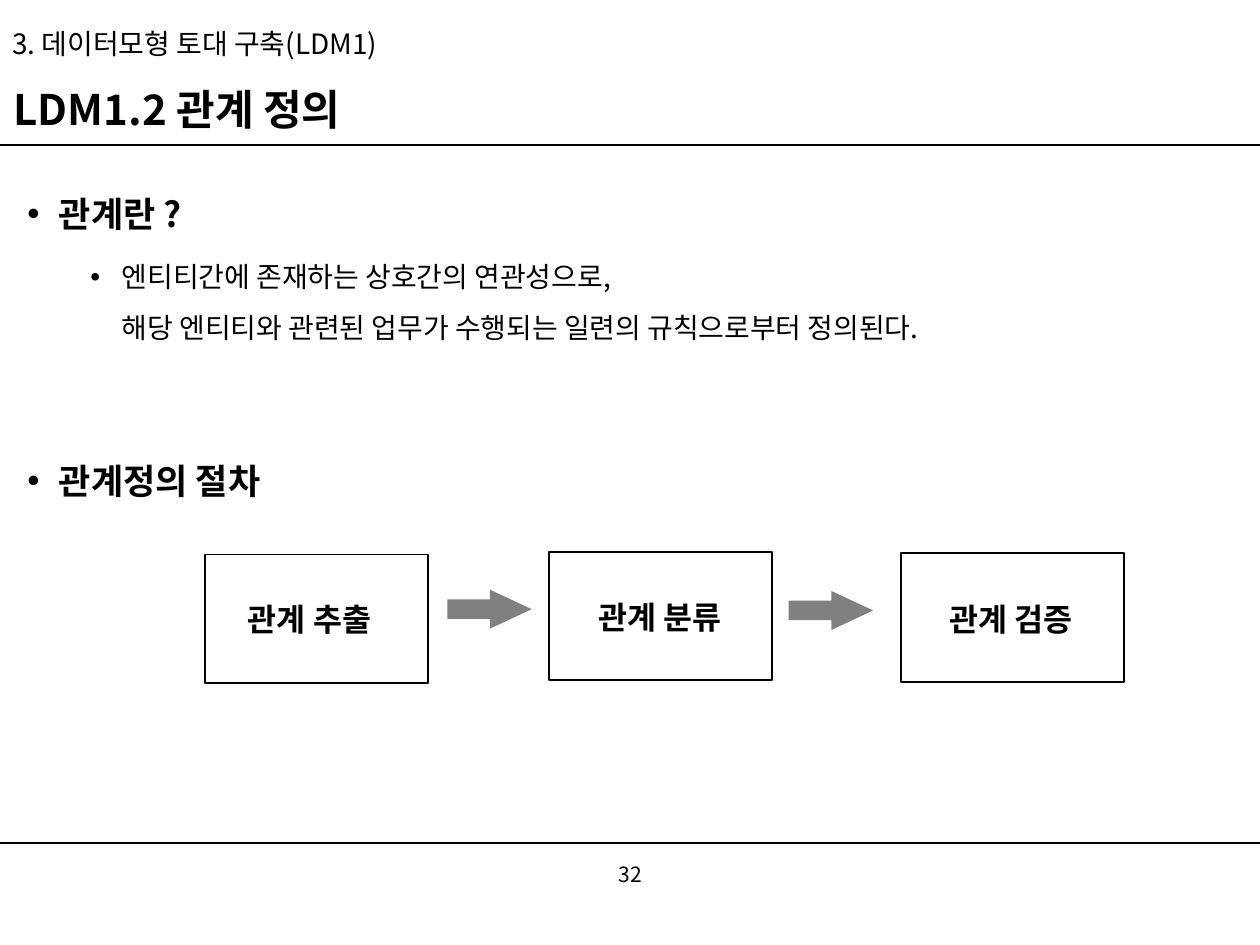
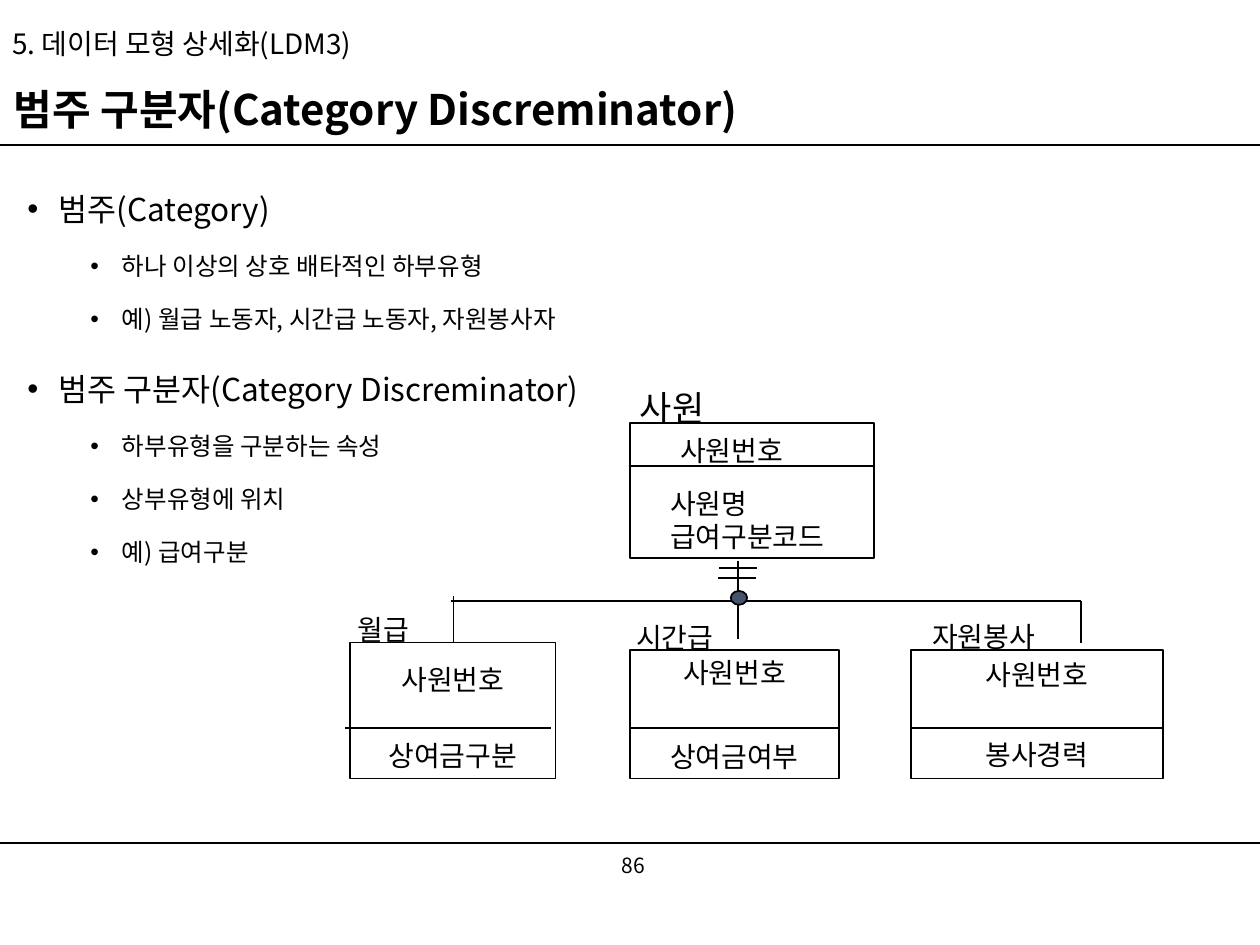
import pptx
import pptx.util
import pptx.dml.color
import pptx.enum.shapes
import pptx.enum.text
import pptx.oxml.ns
import lxml.etree

Inches = pptx.util.Inches
Pt = pptx.util.Pt
Shape = pptx.enum.shapes.MSO_SHAPE
Anchor = pptx.enum.text.MSO_ANCHOR
Align = pptx.enum.text.PP_ALIGN
qn = pptx.oxml.ns.qn
FONT = "Noto Sans CJK KR"
BLACK, WHITE, GRAY, NAVY = "000000", "FFFFFF", "808080", "44546A"


def color(target, value):
    if hasattr(target, "solid"):
        target.solid()
        target = target.fore_color
    else:
        target = target.color
    target.rgb = pptx.dml.color.RGBColor.from_string(value)


def write(frame, lines, size, bold=False, align=None, spacing=None):
    for index, line in enumerate(lines):
        paragraph = frame.paragraphs[0] if index == 0 else frame.add_paragraph()
        paragraph.text = line
        paragraph.alignment = align
        paragraph.line_spacing = spacing
        paragraph.font.size = Pt(size)
        paragraph.font.bold = bold
        paragraph.font.name = FONT
        color(paragraph.font, BLACK)
        for run in paragraph.runs:
            east_asian = lxml.etree.SubElement(run._r.get_or_add_rPr(), qn("a:ea"))
            east_asian.set("typeface", FONT)


presentation = pptx.Presentation()
presentation.slide_width = Inches(10)
presentation.slide_height = Inches(7.5)

pages = [
    {
        "chapter": "3. 데이터모형 토대 구축(LDM1)",
        "title": "LDM1.2 관계 정의",
        "number": ("32", 3.88, 6.74),
        "sizes": (20, 16),
        "bold": True,
        "body": [
            (0, "관계란 ?", 10),
            (1, "엔티티간에 존재하는 상호간의 연관성으로,\v해당 엔티티와 관련된 업무가 수행되는 일련의 규칙으로부터 정의된다.", 5),
            (0, "관계정의 절차", 54),
        ],
        "lines": [],
        "boxes": [(1.63, 4.4, 1.77, 1.02), (4.36, 4.38, 1.77, 1.02), (7.15, 4.39, 1.77, 1.02)],
        "labels": [
            (1.87, 4.71, 1.3, 0.4, ["관계 추출"], 18),
            (4.65, 4.7, 1.3, 0.4, ["관계 분류"], 18),
            (7.44, 4.71, 1.3, 0.4, ["관계 검증"], 18),
        ],
    },
    {
        "chapter": "5. 데이터 모형 상세화(LDM3)",
        "title": "범주 구분자(Category Discreminator)",
        "number": ("86", 3.9, 6.67),
        "sizes": (18, 14),
        "bold": False,
        "body": [
            (0, "범주(Category)", 10),
            (1, "하나 이상의 상호 배타적인 하부유형", 5),
            (1, "예) 월급 노동자, 시간급 노동자, 자원봉사자", 5),
            (0, "범주 구분자(Category Discreminator)", 10),
            (1, "하부유형을 구분하는 속성", 5),
            (1, "상부유형에 위치", 5),
            (1, "예) 급여구분", 5),
        ],
        "lines": [
            (4.99, 3.7, 6.94, 3.7),
            (5.86, 4.45, 5.86, 5.07),
            (3.58, 4.77, 8.58, 4.77),
            (8.58, 4.77, 8.58, 5.1),
            (3.6, 4.73, 3.6, 5.1),
            (5.71, 4.51, 6.01, 4.51),
            (5.7, 4.59, 6, 4.59),
            (2.74, 5.78, 4.37, 5.78),
            (5, 5.78, 6.66, 5.78),
            (7.24, 5.78, 9.24, 5.78),
        ],
        "boxes": [
            (5, 3.36, 1.94, 1.07),
            (2.78, 5.1, 1.63, 1.08, "상여금구분", 1.4, 1.4, 17),
            (5, 5.16, 1.66, 1.02, "상여금여부", 1, 1.5, 19),
            (7.23, 5.16, 2, 1.02, "봉사경력", 1, 1.4, 19),
        ],
        "labels": [
            (5.3, 3.39, 1.1, 0.37, ["사원번호"], 16),
            (5.22, 3.81, 1.55, 0.64, ["사원명", "급여구분코드"], 16),
            (4.95, 4.88, 0.88, 0.37, ["시간급"], 16),
            (2.74, 4.81, 0.65, 0.37, ["월급"], 16),
            (7.3, 4.87, 1.1, 0.37, ["자원봉사"], 16),
            (4.98, 3.02, 0.76, 0.44, ["사원"], 20),
        ],
    },
]

for page in pages:
    slide = presentation.slides.add_slide(presentation.slide_layouts[6])
    color(slide.background.fill, WHITE)

    number, number_left, number_top = page["number"]
    headers = [
        (0, 0.1, 10.03, 0.52, page["chapter"], 16, False, None, 0.9),
        (0.01, 0.63, 9.76, 0.52, page["title"], 24, True, None, 0.9),
        (number_left, number_top, 2.25, 0.4, number, 12, False, Align.CENTER, None),
    ]
    for left, top, width, height, text, size, bold, align, spacing in headers:
        box = slide.shapes.add_textbox(Inches(left), Inches(top), Inches(width), Inches(height))
        box.text_frame.word_wrap = True
        box.text_frame.vertical_anchor = Anchor.MIDDLE
        write(box.text_frame, [text], size, bold, align, spacing)

    body = slide.shapes.add_textbox(Inches(0.12), Inches(1.31), Inches(9.76), Inches(5.2))
    body.text_frame.word_wrap = True
    write(body.text_frame, [text for level, text, before in page["body"]], 16, spacing=1.5)
    for paragraph, (level, text, before) in zip(body.text_frame.paragraphs, page["body"]):
        paragraph.level = level
        paragraph.space_before = Pt(before)
        paragraph.font.size = Pt(page["sizes"][level])
        paragraph.font.bold = page["bold"] and level == 0
        properties = paragraph._p.get_or_add_pPr()
        properties.set("marL", str(Inches(0.25 + 0.5 * level)))
        properties.set("indent", str(Inches(-0.25)))
        bullet_font = properties.makeelement(qn("a:buFont"), {"typeface": "Arial"})
        bullet = properties.makeelement(qn("a:buChar"), {"char": "•"})
        defaults = properties.find(qn("a:defRPr"))
        defaults.addprevious(bullet_font)
        defaults.addprevious(bullet)

    for left, top, width, height, *entity in page["boxes"]:
        box = slide.shapes.add_shape(Shape.RECTANGLE, Inches(left), Inches(top), Inches(width), Inches(height))
        box.shadow.inherit = False
        color(box.fill, WHITE)
        color(box.line, BLACK)
        box.line.width = Pt(1)
        if entity:
            attribute, key_spacing, attribute_spacing, gap = entity
            frame = box.text_frame
            frame.word_wrap = False
            frame.vertical_anchor = Anchor.MIDDLE
            write(frame, ["사원번호", attribute], 16, align=Align.CENTER)
            key_paragraph, attribute_paragraph = frame.paragraphs
            key_paragraph.line_spacing = key_spacing
            attribute_paragraph.line_spacing = attribute_spacing
            attribute_paragraph.space_before = Pt(gap)

    rules = [(0, y, 10.03, y, 0.75) for y in (1.15, 6.69)]
    for x1, y1, x2, y2, weight in rules + [(*line, 1) for line in page["lines"]]:
        connector = slide.shapes.add_connector(
            pptx.enum.shapes.MSO_CONNECTOR.STRAIGHT, Inches(x1), Inches(y1), Inches(x2), Inches(y2))
        color(connector.line, BLACK)
        connector.line.width = Pt(weight)
        lxml.etree.SubElement(connector._element.spPr, qn("a:effectLst"))

    for left, top, width, height, lines, size in page["labels"]:
        label = slide.shapes.add_textbox(Inches(left), Inches(top), Inches(width), Inches(height))
        label.text_frame.word_wrap = False
        write(label.text_frame, lines, size, page["bold"])

process_slide, category_slide = presentation.slides

for left, top in [(3.55, 4.68), (6.26, 4.69)]:
    arrow = process_slide.shapes.add_shape(Shape.RIGHT_ARROW, Inches(left), Inches(top), Inches(0.67), Inches(0.31))
    arrow.adjustments[1] = 1.07
    arrow.shadow.inherit = False
    color(arrow.fill, GRAY)
    arrow.line.fill.background()

discriminator = category_slide.shapes.add_shape(
    Shape.OVAL, Inches(5.8), Inches(4.69), Inches(0.13), Inches(0.11))
discriminator.shadow.inherit = False
color(discriminator.fill, NAVY)
color(discriminator.line, BLACK)
discriminator.line.width = Pt(1)

presentation.save("out.pptx")
